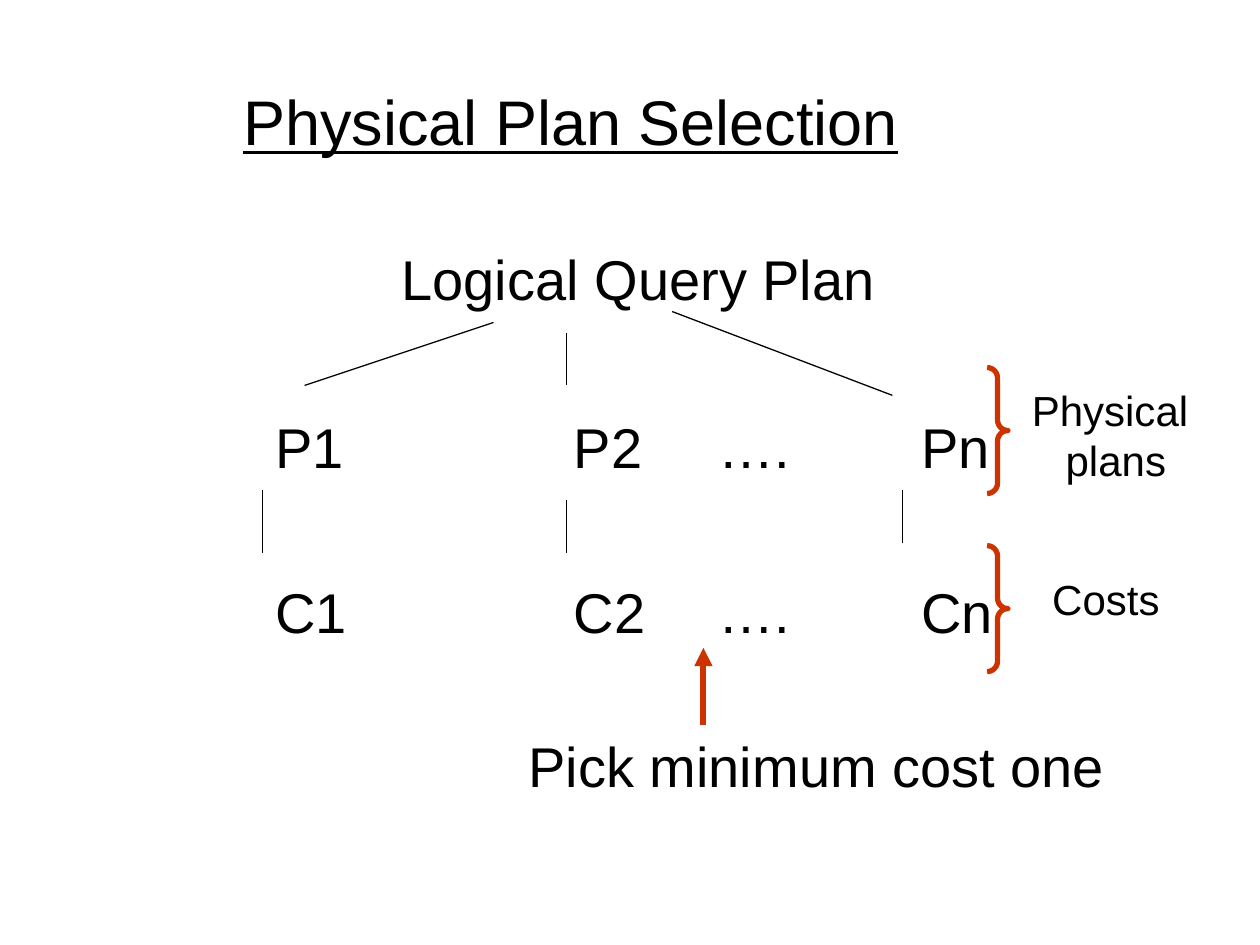
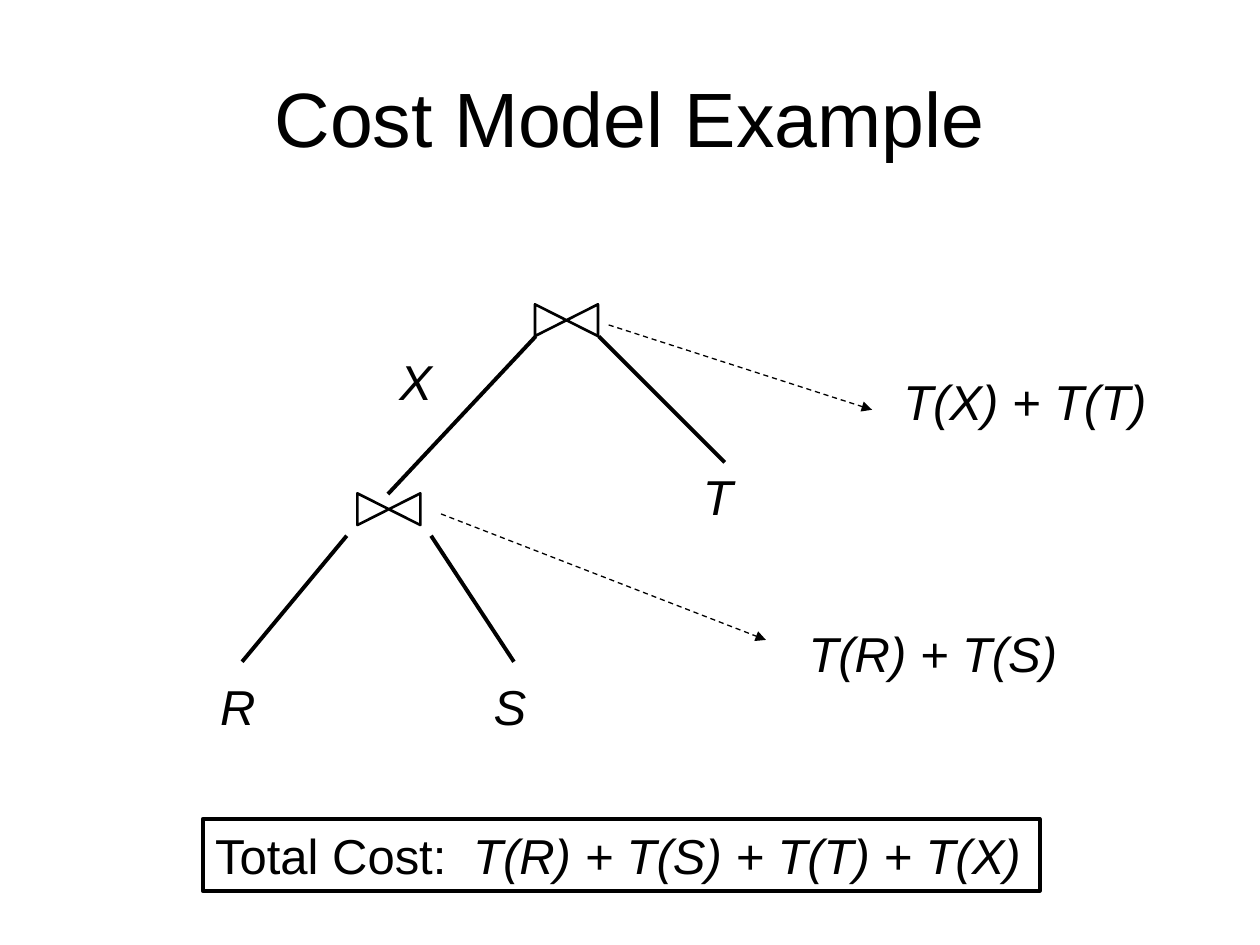
from lxml.etree import SubElement
from pptx import Presentation
from pptx.dml.color import RGBColor
from pptx.enum.dml import MSO_LINE
from pptx.enum.shapes import MSO_CONNECTOR, MSO_SHAPE
from pptx.enum.text import MSO_ANCHOR, MSO_AUTO_SIZE, PP_ALIGN
from pptx.oxml.ns import qn
from pptx.util import Cm, Pt

BLACK, WHITE, RED = "000000", "FFFFFF", "CC3300"
FONT = "Arial"


def set_color(color_format, color):
    color_format.rgb = RGBColor.from_string(color)


def add_run(paragraph, text, size, **format_values):
    run = paragraph.add_run()
    run.text = text
    for name, value in {"name": FONT, "size": Pt(size), **format_values}.items():
        setattr(run.font, name, value)
    set_color(run.font.color, BLACK)


presentation = Presentation()
presentation.slide_width, presentation.slide_height = Cm(25.4), Cm(19.05)
selection_slide = presentation.slides.add_slide(presentation.slide_layouts[1])
example_slide = presentation.slides.add_slide(presentation.slide_layouts[5])

# Titles
titles = [
    (selection_slide, "Physical Plan Selection", (4.65, 0.84, 21.59, 3.18),
     PP_ALIGN.LEFT, 36, {"underline": True}),
    (example_slide, "Cost Model Example", (1.27, 0.76, 22.86, 3.18),
     PP_ALIGN.CENTER, 44, {}),
]
for slide, text, place, alignment, size, format_values in titles:
    title = slide.shapes.title
    title.left, title.top, title.width, title.height = map(Cm, place)
    title.text_frame.vertical_anchor = MSO_ANCHOR.MIDDLE
    title.text_frame.auto_size = MSO_AUTO_SIZE.NONE
    paragraph = title.text_frame.paragraphs[0]
    paragraph.alignment = alignment
    add_run(paragraph, text, size, **format_values)

# First and last step of the plan selection
body = selection_slide.placeholders[1]
body.left, body.top, body.width, body.height = map(Cm, (1.9, 4.8, 22.86, 11.43))
body.text_frame.auto_size = MSO_AUTO_SIZE.NONE
body.text_frame.vertical_anchor = MSO_ANCHOR.TOP
steps = (("Logical Query Plan", 5.94), ("Pick minimum cost one", 8.5))
for index, (text, indent) in enumerate(steps):
    paragraph = body.text_frame.add_paragraph() if index else body.text_frame.paragraphs[0]
    paragraph.space_before = Pt(240 if index else 0)
    properties = paragraph._p.get_or_add_pPr()
    properties.set("marL", str(Cm(indent)))
    properties.set("indent", "0")
    SubElement(properties, qn("a:buNone"))
    add_run(paragraph, text, 32)

# Plans and their costs, one tab stop for each column
plan_columns = (3.4, 9.42, 12.34, 16.42)
plan_box = selection_slide.shapes.add_textbox(Cm(1.9), Cm(8.19), Cm(22.86), Cm(4.9))
plan_box.text_frame.word_wrap = True
for index, letter in enumerate("PC"):
    paragraph = plan_box.text_frame.add_paragraph() if index else plan_box.text_frame.paragraphs[0]
    paragraph.space_before = Pt(56 if index else 0)
    tab_list = SubElement(paragraph._p.get_or_add_pPr(), qn("a:tabLst"))
    for position in plan_columns:
        SubElement(tab_list, qn("a:tab"), pos=str(Cm(position)), algn="l")
    add_run(paragraph, f"\t{letter}1\t{letter}2\t….\t{letter}n", 32)

# Braces beside the plans and the costs
for top in (7.41, 11):
    brace = selection_slide.shapes.add_shape(
        MSO_SHAPE.RIGHT_BRACE, Cm(19.9), Cm(top), Cm(0.42), Cm(2.54))
    brace.adjustments[0] = 0.5
    brace.shadow.inherit = False
    brace.fill.background()
    set_color(brace.line.color, RED)
    brace.line.width = Pt(3)

# Join symbols
for left, top in ((11.1, 5.82), (7.52, 9.63)):
    join = example_slide.shapes.add_shape(
        MSO_SHAPE.FLOWCHART_COLLATE, Cm(left), Cm(top), Cm(0.64), Cm(1.27))
    join.rotation = 270
    join.shadow.inherit = False
    join.fill.solid()
    set_color(join.fill.fore_color, WHITE)
    set_color(join.line.color, BLACK)
    join.line.width = Pt(1.5)

# Lines and arrows: slide, colour, width, dash, arrowhead, ends
line_groups = [
    (selection_slide, BLACK, 0.75, None, False, [
        (5.29, 9.88, 5.29, 11.15),
        (11.42, 10.08, 11.42, 11.15),
        (18.2, 9.88, 18.2, 10.95),
        (11.42, 6.71, 11.42, 7.77),
        (9.95, 6.5, 6.14, 7.77),
        (13.55, 6.28, 17.99, 7.97),
    ]),
    (selection_slide, RED, 3.5, None, True, [(14.18, 14.61, 14.18, 13.06)]),
    (example_slide, BLACK, 2.25, None, False, [
        (6.99, 10.8, 4.88, 13.34),
        (8.69, 10.8, 10.36, 13.34),
        (10.8, 6.78, 7.82, 9.96),
        (12.07, 6.78, 14.61, 9.32),
    ]),
    (example_slide, BLACK, 0.75, MSO_LINE.DASH, True, [
        (8.89, 10.36, 15.44, 12.9),
        (12.27, 6.55, 17.58, 8.26),
    ]),
]
for slide, color, width, dash, has_arrowhead, lines in line_groups:
    for ends in lines:
        connector = slide.shapes.add_connector(MSO_CONNECTOR.STRAIGHT, *map(Cm, ends))
        set_color(connector.line.color, color)
        connector.line.width = Pt(width)
        if dash:
            connector.line.dash_style = dash
        properties = connector._element.spPr
        if has_arrowhead:
            SubElement(properties.find(qn("a:ln")), qn("a:tailEnd"), type="triangle")
        SubElement(properties, qn("a:effectLst"))

# Labels
label_groups = [
    (selection_slide, 24, False, PP_ALIGN.CENTER, [
        (("Physical ", "plans"), (20.55, 7.62, 3.89, 2.29)),
        (("Costs",), (20.96, 11.43, 2.67, 1.27)),
    ]),
    (example_slide, 28, True, PP_ALIGN.LEFT, [
        (("R",), (4.19, 13.51, 1.22, 1.45)),
        (("S",), (9.7, 13.51, 1.17, 1.45)),
        (("T",), (13.92, 9.27, 1.12, 1.45)),
        (("X",), (7.8, 6.96, 1.17, 1.45)),
        (("T(R) + T(S)",), (16.05, 12.45, 5.6, 1.45)),
        (("T(X) + T(T)",), (17.96, 7.37, 5.45, 1.45)),
    ]),
]
for slide, size, italic, alignment, labels in label_groups:
    for texts, place in labels:
        text_frame = slide.shapes.add_textbox(*map(Cm, place)).text_frame
        text_frame.word_wrap = False
        for index, text in enumerate(texts):
            paragraph = text_frame.add_paragraph() if index else text_frame.paragraphs[0]
            paragraph.alignment = alignment
            add_run(paragraph, text, size, italic=italic)

# Total cost
total_box = example_slide.shapes.add_shape(
    MSO_SHAPE.RECTANGLE, Cm(4.09), Cm(16.51), Cm(16.87), Cm(1.45))
total_box.shadow.inherit = False
total_box.fill.background()
set_color(total_box.line.color, BLACK)
total_box.line.width = Pt(2.25)
total_box.text_frame.word_wrap = False
total_box.text_frame.vertical_anchor = MSO_ANCHOR.TOP
paragraph = total_box.text_frame.paragraphs[0]
paragraph.alignment = PP_ALIGN.LEFT
tab_list = SubElement(paragraph._p.get_or_add_pPr(), qn("a:tabLst"))
SubElement(tab_list, qn("a:tab"), pos=str(Cm(5.2)), algn="l")
add_run(paragraph, "Total Cost:\t", 28)
add_run(paragraph, "T(R) + T(S) + T(T) + T(X)", 28, italic=True)

presentation.save("out.pptx")
